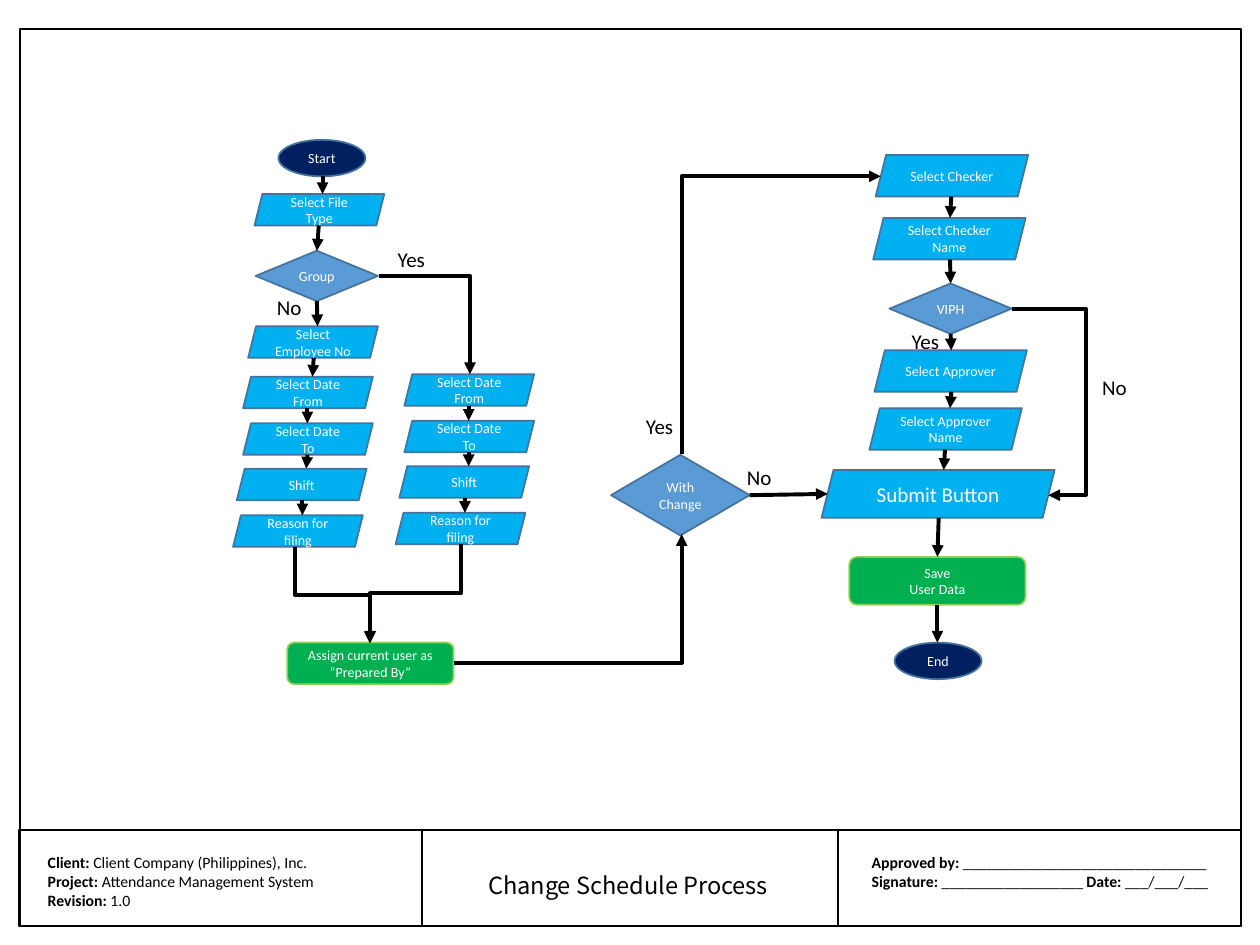
from lxml import etree
from pptx import Presentation
from pptx.dml.color import RGBColor
from pptx.enum.shapes import MSO_CONNECTOR, MSO_SHAPE
from pptx.enum.text import MSO_ANCHOR, MSO_AUTO_SIZE, PP_ALIGN
from pptx.oxml.ns import qn
from pptx.util import Inches, Pt

RECT, ROUND = MSO_SHAPE.RECTANGLE, MSO_SHAPE.ROUNDED_RECTANGLE
OVAL, DIAMOND = MSO_SHAPE.OVAL, MSO_SHAPE.DIAMOND
SLANT = MSO_SHAPE.PARALLELOGRAM
STRAIGHT, ELBOW = MSO_CONNECTOR.STRAIGHT, MSO_CONNECTOR.ELBOW
CENTER, LEFT = PP_ALIGN.CENTER, PP_ALIGN.LEFT
MIDDLE, TOP = MSO_ANCHOR.MIDDLE, MSO_ANCHOR.TOP
GROW = MSO_AUTO_SIZE.SHAPE_TO_FIT_TEXT
UP, DOWN, RIGHT = 0, 2, 3

COLORS = {
    "black": "000000", "white": "FFFFFF", "navy": "002060", "sky": "00B0F0",
    "blue": "5B9BD5", "edge": "43739E", "green": "00B050", "lime": "92D050",
}
# Fill and line for each kind of step
LOOKS = {
    OVAL: ("navy", "edge"), SLANT: ("sky", "edge"),
    DIAMOND: ("blue", "edge"), ROUND: ("green", "lime"),
}


class Chart:
    def __init__(self, slide):
        self.slide = slide
        self.font = "Calibri"
        self.nodes = {}

    def color(self, name):
        return RGBColor.from_string(COLORS[name])

    def style(self, run, size, color, bold=False, font=None):
        run.font.name = font or self.font
        run.font.size = Pt(size)
        run.font.bold = bold
        run.font.color.rgb = self.color(color)

    def frame(self, *box):
        rect = self.slide.shapes.add_shape(RECT, *map(Inches, box))
        rect.shadow.inherit = False
        rect.fill.background()
        rect.line.color.rgb = self.color("black")
        rect.line.width = Pt(1)

    def title(self, text, box):
        hold = self.slide.shapes.title
        hold.left, hold.top, hold.width, hold.height = map(Inches, box)
        frame = hold.text_frame
        frame.text = text
        frame.word_wrap = True
        frame.auto_size = GROW
        frame.vertical_anchor = TOP
        para = frame.paragraphs[0]
        para.alignment = CENTER
        self.style(para.runs[0], 13.5, "black", font="Noto Sans CJK JP")

    def text(self, box, lines, size, align):
        """Each line is a list of strings that turn from bold to plain."""
        area = self.slide.shapes.add_textbox(*map(Inches, box))
        frame = area.text_frame
        frame.word_wrap = True
        frame.auto_size = GROW
        for i, parts in enumerate(lines):
            para = frame.add_paragraph() if i else frame.paragraphs[0]
            para.alignment = align
            for j, part in enumerate(parts):
                run = para.add_run()
                run.text = part
                self.style(run, size, "black", bold=len(parts) > 1 and j % 2 == 0)

    def label(self, text, left, top):
        self.text((left, top, 0.57, 0.3), [[text]], 12, CENTER)

    def node(self, key, kind, text, left, top, width, height, size=8):
        step = self.slide.shapes.add_shape(
            kind, *map(Inches, (left, top, width, height)))
        step.shadow.inherit = False
        fill, line = LOOKS[kind]
        step.fill.solid()
        step.fill.fore_color.rgb = self.color(fill)
        step.line.color.rgb = self.color(line)
        step.line.width = Pt(1)
        frame = step.text_frame
        frame.text = text
        frame.vertical_anchor = MIDDLE
        for para in frame.paragraphs:
            para.alignment = CENTER
            for run in para.runs:
                self.style(run, size, "white")
        self.nodes[key] = step

    def arrow(self, kind, *ends):
        line = self.slide.shapes.add_connector(kind, *ends)
        line.line.color.rgb = self.color("black")
        line.line.width = Pt(2.25)
        props = line._element.spPr
        etree.SubElement(props.find(qn("a:ln")), qn("a:tailEnd"), type="triangle")
        etree.SubElement(props, qn("a:effectLst"))
        return line

    def link(self, start, end, x1, x2):
        """Arrow from the bottom of one step to the top of the next."""
        a, b = self.nodes[start], self.nodes[end]
        line = self.arrow(STRAIGHT, Inches(x1), a.top + a.height,
                          Inches(x2), b.top)
        if a.auto_shape_type in (ROUND, DIAMOND):
            line.begin_connect(a, DOWN)
        if b.auto_shape_type in (ROUND, DIAMOND):
            line.end_connect(b, UP)

    def bend(self, box, turn=0, flip="", shape="bentConnector2", adj=None):
        left, top, width, height = map(Inches, box)
        line = self.arrow(ELBOW, left, top, left + width, top + height)
        props = line._element.spPr
        place = props.find(qn("a:xfrm"))
        if turn:
            place.set("rot", str(turn * 60000))
        for side in flip:
            place.set("flip" + side.upper(), "1")
        geom = props.find(qn("a:prstGeom"))
        geom.set("prst", shape)
        if adj:
            etree.SubElement(geom.find(qn("a:avLst")), qn("a:gd"),
                             name="adj1", fmla=f"val {adj}")


deck = Presentation()
deck.slide_width, deck.slide_height = Inches(10), Inches(7.5)
chart = Chart(deck.slides.add_slide(deck.slide_layouts[5]))

# Page frame and title block
chart.frame(0.16, 0.23, 9.69, 7.12)
for left, width in ((0.15, 3.2), (3.35, 3.3), (6.65, 3.2)):
    chart.frame(left, 6.59, width, 0.76)
chart.text((0.28, 6.72, 2.95, 0.56), [
    ["Client:", " Client Company (Philippines), Inc."],
    ["Project: ", "Attendance Management System"],
    ["Revision:", " 1.0"],
], 9, LEFT)
chart.text((6.82, 6.72, 3.07, 0.4), [
    ["Approved by: ", "_" * 31],
    ["Signature: ", "_" * 18, " Date: ", "___/___/___"],
], 9, LEFT)
chart.title("Change Schedule Process", (3.4, 6.86, 3.17, 0.33))

# Start, decisions, results and end
for step in (
    ("start", OVAL, "Start", 2.21, 1.11, 0.69, 0.29),
    ("group", DIAMOND, "Group", 2.03, 1.99, 0.97, 0.4),
    ("change", DIAMOND, "With Change", 4.85, 3.61, 1.1, 0.64),
    ("firm", DIAMOND, "VIPH", 7.06, 2.25, 0.97, 0.4),
    ("assign", ROUND, "Assign current user as “Prepared By”", 2.28, 5.1, 1.32, 0.33),
    ("submit", SLANT, "Submit Button", 6.52, 3.73, 1.85, 0.38, 12),
    ("save", ROUND, "Save\nUser Data", 6.74, 4.42, 1.4, 0.38),
    ("end", OVAL, "End", 7.1, 5.1, 0.69, 0.29),
):
    chart.node(*step)

# Input steps on the left
for key, text, left, top in (
    ("type", "Select File Type", 2.02, 1.54),
    ("staff", "Select Employee No", 1.97, 2.59),
    ("from1", "Select Date From", 1.93, 2.99),
    ("to1", "Select Date To", 1.93, 3.36),
    ("shift1", "Shift", 1.88, 3.72),
    ("why1", "Reason for filing", 1.85, 4.09),
    ("from2", "Select Date From", 3.21, 2.97),
    ("to2", "Select Date To", 3.21, 3.34),
    ("shift2", "Shift", 3.17, 3.7),
    ("why2", "Reason for filing", 3.14, 4.07),
):
    chart.node(key, SLANT, text, left, top, 1.03, 0.25)

# Input steps on the right
for key, text, left, top in (
    ("check", "Select Checker", 6.95, 1.23),
    ("checker", "Select Checker Name", 6.93, 1.73),
    ("approve", "Select Approver", 6.94, 2.78),
    ("approver", "Select Approver Name", 6.9, 3.24),
):
    chart.node(key, SLANT, text, left, top, 1.21, 0.33)

# Straight arrows
for pair in (
    ("start", "type", 2.56, 2.56), ("type", "group", 2.53, 2.52),
    ("group", "staff", 2.52, 2.52), ("staff", "from1", 2.49, 2.48),
    ("from1", "to1", 2.44, 2.44), ("to1", "shift1", 2.44, 2.43),
    ("shift1", "why1", 2.4, 2.4), ("from2", "to2", 3.72, 3.72),
    ("to2", "shift2", 3.72, 3.72), ("shift2", "why2", 3.69, 3.69),
    ("check", "checker", 7.55, 7.54), ("checker", "firm", 7.54, 7.55),
    ("firm", "approve", 7.55, 7.55), ("approve", "approver", 7.55, 7.54),
    ("approver", "submit", 7.5, 7.49), ("submit", "save", 7.45, 7.44),
    ("save", "end", 7.44, 7.44),
):
    chart.link(*pair)
skip = chart.arrow(STRAIGHT, *map(Inches, (5.96, 3.92, 6.57, 3.92)))
skip.begin_connect(chart.nodes["change"], RIGHT)

# Bent arrows
chart.bend((3.01, 2.19, 0.72, 0.78))
chart.bend((2.26, 4.42, 0.76, 0.6), 270, "h", "bentConnector3", 50000)
chart.bend((2.9, 4.35, 0.79, 0.72), 90, "", "bentConnector3", 50000)
chart.bend((3.6, 4.24, 1.81, 1.02), 0, "v")
chart.bend((5.1, 1.71, 2.2, 1.58), 90, "hv")
chart.bend((8.03, 2.45, 0.29, 1.48), 0, "", "bentConnector3", 202500)

# Answers beside the decisions
for text, left, top in (
    ("Yes", 2.98, 1.91), ("No", 2.01, 2.29), ("Yes", 4.95, 3.23),
    ("No", 5.74, 3.64), ("Yes", 7.06, 2.56), ("No", 8.56, 2.92),
):
    chart.label(text, left, top)

deck.save("out.pptx")
